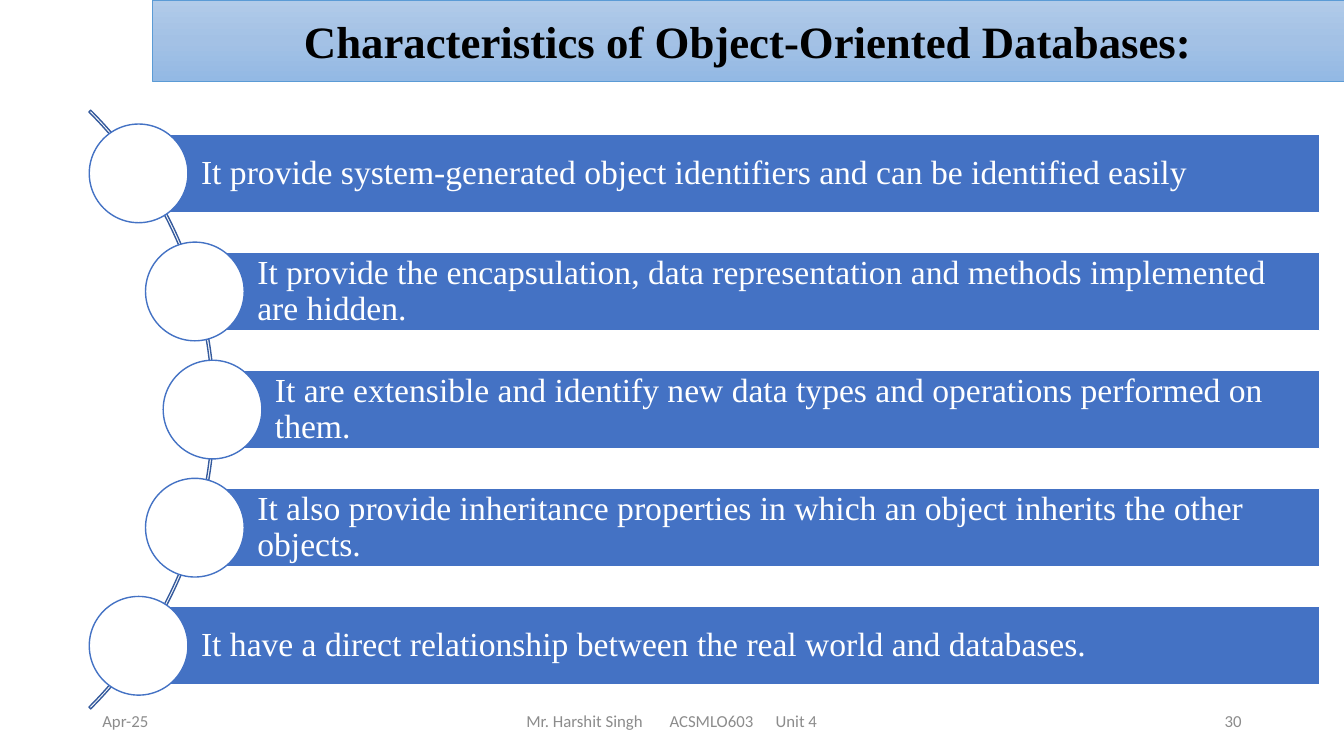
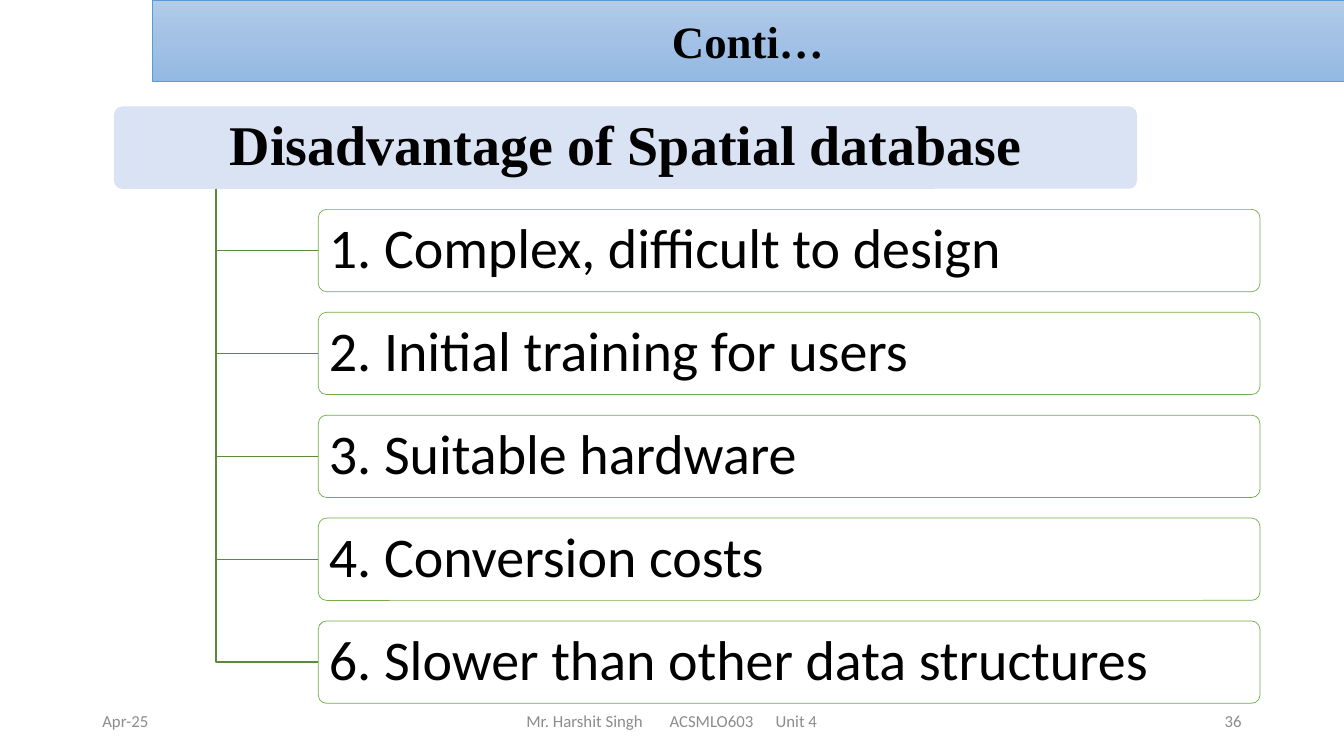
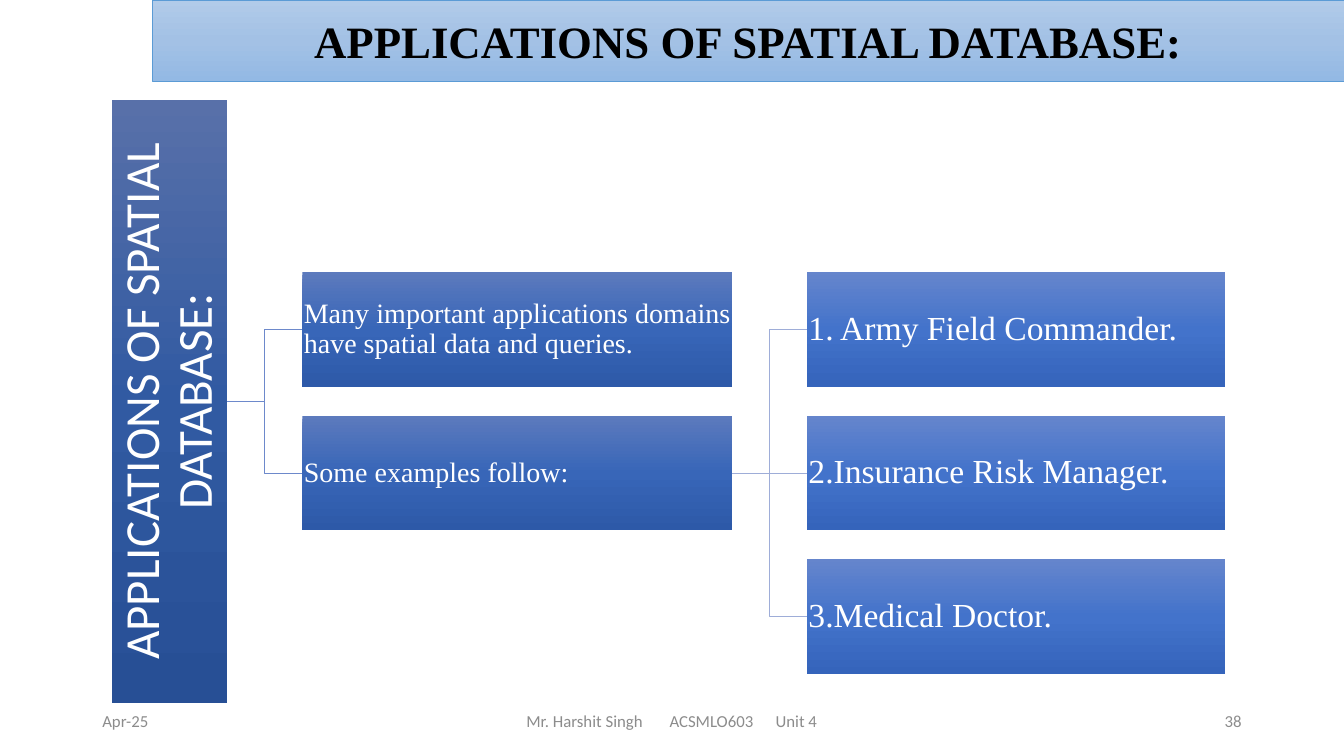
import copy
import dataclasses
import typing

import lxml.etree
import pptx
import pptx.dml.color
import pptx.enum.shapes
import pptx.enum.text
import pptx.oxml.ns
import pptx.presentation
import pptx.shapes.autoshape
import pptx.slide
import pptx.util

COLUMNS, ROWS = 160, 90
UNIT = pptx.util.Inches(7.5) // ROWS

Preset = pptx.enum.shapes.MSO_SHAPE
Connector = pptx.enum.shapes.MSO_CONNECTOR
Align = pptx.enum.text.PP_ALIGN
Shape = pptx.shapes.autoshape.Shape
Slide = pptx.slide.Slide
Fill = typing.Union[str, tuple[str, str, str], None]

SERIF, SANS = "Times New Roman", "Calibri"
WHITE, BLACK, GREY = "FFFFFF", "000000", "8C8C8C"
BLUE, ARC_BLUE, BAND_EDGE = "4472C4", "365B9D", "5B9BD5"
PALE_BLUE, GREEN, DARK_GREEN = "DAE3F3", "70AD47", "5A8B39"
BAND_FILL = ("B1CBE9", "A3C1E5", "93B9E4")
ROOT_FILL = ("5870A9", "315AA2", "274F95")
TOPIC_FILL = ("5C7ABD", "3866B8", "2D59A8")
EXAMPLE_FILL = ("6585CC", "4373CB", "3564BB")
TOPIC_LINK, EXAMPLE_LINK = "6D89CB", "9EADD8"
FOOTER_TOP, FOOTER_HEIGHT = 83.4, 4.8


@dataclasses.dataclass(frozen=True)
class Area:
    left: float
    top: float
    width: float
    height: float

    def emu(self) -> tuple[int, ...]:
        return tuple(grid(v) for v in dataclasses.astuple(self))


@dataclasses.dataclass(frozen=True)
class Lettering:
    size: float
    font: str = SERIF
    color: str = WHITE
    bold: bool = False
    align: Align = Align.LEFT
    spacing: float = 0.9
    left_inset: float = 1.2
    right_inset: float = 1.2
    tabs: tuple[float, ...] = ()


@dataclasses.dataclass(frozen=True)
class Trait:
    left: float
    text: str


TITLE = Lettering(32, color=BLACK, bold=True, align=Align.CENTER, spacing=1)
FOOTER = Lettering(12, SANS, GREY, spacing=1)
COURSE = dataclasses.replace(FOOTER, left_inset=9.67, tabs=(17.04, 29.67))
PAGE = dataclasses.replace(FOOTER, align=Align.RIGHT)
TRAIT = Lettering(24, left_inset=7.44, right_inset=0.84)
HEADING = Lettering(40, color=BLACK, bold=True, align=Align.CENTER)
DRAWBACK = Lettering(40, SANS, BLACK, left_inset=0.98, right_inset=0.98)
ROOT = Lettering(35, SANS, align=Align.CENTER, left_inset=0.24, right_inset=0.24)
TOPIC = Lettering(20, align=Align.JUSTIFY, left_inset=0.17, right_inset=0.17)
EXAMPLE = Lettering(24, align=Align.JUSTIFY, left_inset=0.2, right_inset=0.2)

TRAITS = (
    Trait(16.5, "It provide system-generated object identifiers and can be identified easily"),
    Trait(23.2, "It provide the encapsulation, data representation and methods implemented are hidden."),
    Trait(25.3, "It are extensible and identify new data types and operations performed on them."),
    Trait(23.2, "It also provide inheritance properties in which an object inherits the other objects."),
    Trait(16.5, "It have a direct relationship between the real world and databases."),
)
DRAWBACKS = (
    "1. Complex, difficult to design",
    "2. Initial training for users",
    "3. Suitable hardware",
    "4. Conversion costs",
    "6. Slower than other data structures",
)
TOPICS = (
    "Many important applications domains have spatial data and queries.",
    "Some examples follow:",
)
EXAMPLES = ("1. Army Field Commander.", "2.Insurance Risk Manager.", "3.Medical Doctor.")


def grid(units: float) -> int:
    return round(units * UNIT)


def rgb(value: str) -> pptx.dml.color.RGBColor:
    return pptx.dml.color.RGBColor.from_string(value)


def write(shape: Shape, text: str, style: Lettering) -> None:
    frame = shape.text_frame
    frame.text = text
    frame.word_wrap = True
    frame.vertical_anchor = pptx.enum.text.MSO_ANCHOR.MIDDLE
    frame.margin_left, frame.margin_right = grid(style.left_inset), grid(style.right_inset)
    frame.margin_top = frame.margin_bottom = grid(0.24)
    paragraph = frame.paragraphs[0]
    if style.tabs:
        properties = paragraph._p.get_or_add_pPr()
        stops = lxml.etree.SubElement(properties, pptx.oxml.ns.qn("a:tabLst"))
        for position in style.tabs:
            lxml.etree.SubElement(
                stops, pptx.oxml.ns.qn("a:tab"), pos=str(grid(position)), algn="l"
            )
    paragraph.alignment = style.align
    paragraph.line_spacing = style.spacing
    for run in paragraph.runs:
        run.font.name = style.font
        run.font.size = pptx.util.Pt(style.size)
        run.font.bold = style.bold
        run.font.color.rgb = rgb(style.color)


def paint(shape: Shape, fill: Fill) -> None:
    if fill is None:
        shape.fill.background()
    elif isinstance(fill, str):
        shape.fill.solid()
        shape.fill.fore_color.rgb = rgb(fill)
    else:
        shape.fill.gradient()
        shape.fill.gradient_angle = 270
        stops = next(shape.element.spPr.iter(pptx.oxml.ns.qn("a:gsLst")))
        stops.insert(1, copy.deepcopy(stops[0]))
        for index, stop in enumerate(shape.fill.gradient_stops):
            stop.position = index / 2
            stop.color.rgb = rgb(fill[index])


def finish(shape: Shape, fill: Fill, edge: typing.Optional[str], edge_width: float) -> None:
    shape.shadow.inherit = False
    paint(shape, fill)
    if edge:
        shape.line.color.rgb = rgb(edge)
        shape.line.width = pptx.util.Pt(edge_width)
    else:
        shape.line.fill.background()


def add_block(
    slide: Slide,
    area: Area,
    fill: Fill,
    preset: Preset = Preset.RECTANGLE,
    edge: typing.Optional[str] = None,
    edge_width: float = 1,
    adjustments: tuple[float, ...] = (),
) -> Shape:
    block = slide.shapes.add_shape(preset, *area.emu())
    for index, value in enumerate(adjustments):
        block.adjustments[index] = value
    finish(block, fill, edge, edge_width)
    return block


def add_branch(slide: Slide, trunk: float, start: float, left: float, center: float) -> None:
    builder = slide.shapes.build_freeform(grid(trunk), grid(start))
    corners = ((trunk, center), (left, center))
    builder.add_line_segments([(grid(x), grid(y)) for x, y in corners], close=False)
    finish(builder.convert_to_shape(), None, DARK_GREEN, 1)


def join_sides(slide: Slide, source: Shape, target: Shape, color: str) -> None:
    level = source.top + source.height // 2 == target.top + target.height // 2
    kind = Connector.STRAIGHT if level else Connector.ELBOW
    link = slide.shapes.add_connector(kind, 0, 0, 0, 0)
    link.begin_connect(source, 3)
    link.end_connect(target, 1)
    link.line.color.rgb = rgb(color)
    link.line.width = pptx.util.Pt(0.5)
    lxml.etree.SubElement(link.element.spPr, pptx.oxml.ns.qn("a:effectLst"))


def add_page(deck: pptx.presentation.Presentation, title: str, number: int) -> Slide:
    slide = deck.slides.add_slide(deck.slide_layouts[6])
    band = add_block(
        slide, Area(18.1, 0, COLUMNS - 18.1, 9.66), BAND_FILL, edge=BAND_EDGE, edge_width=0.5
    )
    write(band, title, TITLE)
    for left, width, text, style in (
        (11, 36, "Apr-25", FOOTER),
        (53, 54, "Mr. Harshit Singh\tACSMLO603\tUnit 4", COURSE),
        (113, 36, str(number), PAGE),
    ):
        area = Area(left, FOOTER_TOP, width, FOOTER_HEIGHT)
        write(slide.shapes.add_textbox(*area.emu()), text, style)
    return slide


def draw_characteristics(slide: Slide) -> None:
    middle, pitch, right = 48.76, 14.06, 157.1
    bar_height, disc, arc = 9.34, 11.75, 100.8
    add_block(
        slide,
        Area(-75.24, middle - arc / 2, arc, arc),
        None,
        Preset.BLOCK_ARC,
        ARC_BLUE,
        adjustments=(189, 27, 0.003),
    )
    for row, trait in enumerate(TRAITS):
        center = middle + (row - (len(TRAITS) - 1) / 2) * pitch
        bar_area = Area(trait.left, center - bar_height / 2, right - trait.left, bar_height)
        write(add_block(slide, bar_area, BLUE, edge=WHITE), trait.text, TRAIT)
        disc_area = Area(trait.left - disc / 2, center - disc / 2, disc, disc)
        add_block(slide, disc_area, WHITE, Preset.OVAL, BLUE)


def draw_disadvantages(slide: Slide) -> None:
    top, pitch, height = 12.68, 12.25, 9.8
    trunk, left = 25.7, 37.9
    heading = add_block(
        slide,
        Area(13.56, top, 121.8, height),
        PALE_BLUE,
        Preset.ROUNDED_RECTANGLE,
        adjustments=(0.1,),
    )
    write(heading, "Disadvantage of Spatial database", HEADING)
    for row, text in enumerate(DRAWBACKS, 1):
        card_top = top + row * pitch
        add_branch(slide, trunk, top + height, left, card_top + height / 2)
        card = add_block(
            slide,
            Area(left, card_top, 112.1, height),
            WHITE,
            Preset.ROUNDED_RECTANGLE,
            GREEN,
            0.5,
            (0.1,),
        )
        write(card, text, DRAWBACK)


def draw_applications(slide: Slide) -> None:
    top, pitch, height = 32.4, 17.08, 13.68

    def add_column(
        left: float, width: float, texts: tuple[str, ...], fill: Fill, style: Lettering
    ) -> list[Shape]:
        column = []
        for row, text in enumerate(texts):
            block = add_block(slide, Area(left, top + row * pitch, width, height), fill)
            write(block, text, style)
            column.append(block)
        return column

    root_height = 71.8
    root_center = top + (pitch + height) / 2
    root = add_block(
        slide, Area(13.36, root_center - root_height / 2, height, root_height), ROOT_FILL
    )
    write(root, "APPLICATIONS OF SPATIAL DATABASE:", ROOT)
    root.text_frame._txBody.bodyPr.set("vert", "vert270")
    topics = add_column(36, 51.15, TOPICS, TOPIC_FILL, TOPIC)
    examples = add_column(96.05, 49.8, EXAMPLES, EXAMPLE_FILL, EXAMPLE)
    for topic in topics:
        join_sides(slide, root, topic, TOPIC_LINK)
    for example in examples:
        join_sides(slide, topics[-1], example, EXAMPLE_LINK)


def main() -> None:
    deck = pptx.Presentation()
    deck.slide_width, deck.slide_height = grid(COLUMNS), grid(ROWS)
    for title, number, draw in (
        ("Characteristics of Object-Oriented Databases:", 30, draw_characteristics),
        ("Conti…", 36, draw_disadvantages),
        ("APPLICATIONS OF SPATIAL DATABASE:", 38, draw_applications),
    ):
        draw(add_page(deck, title, number))
    deck.save("out.pptx")


if __name__ == "__main__":
    main()
